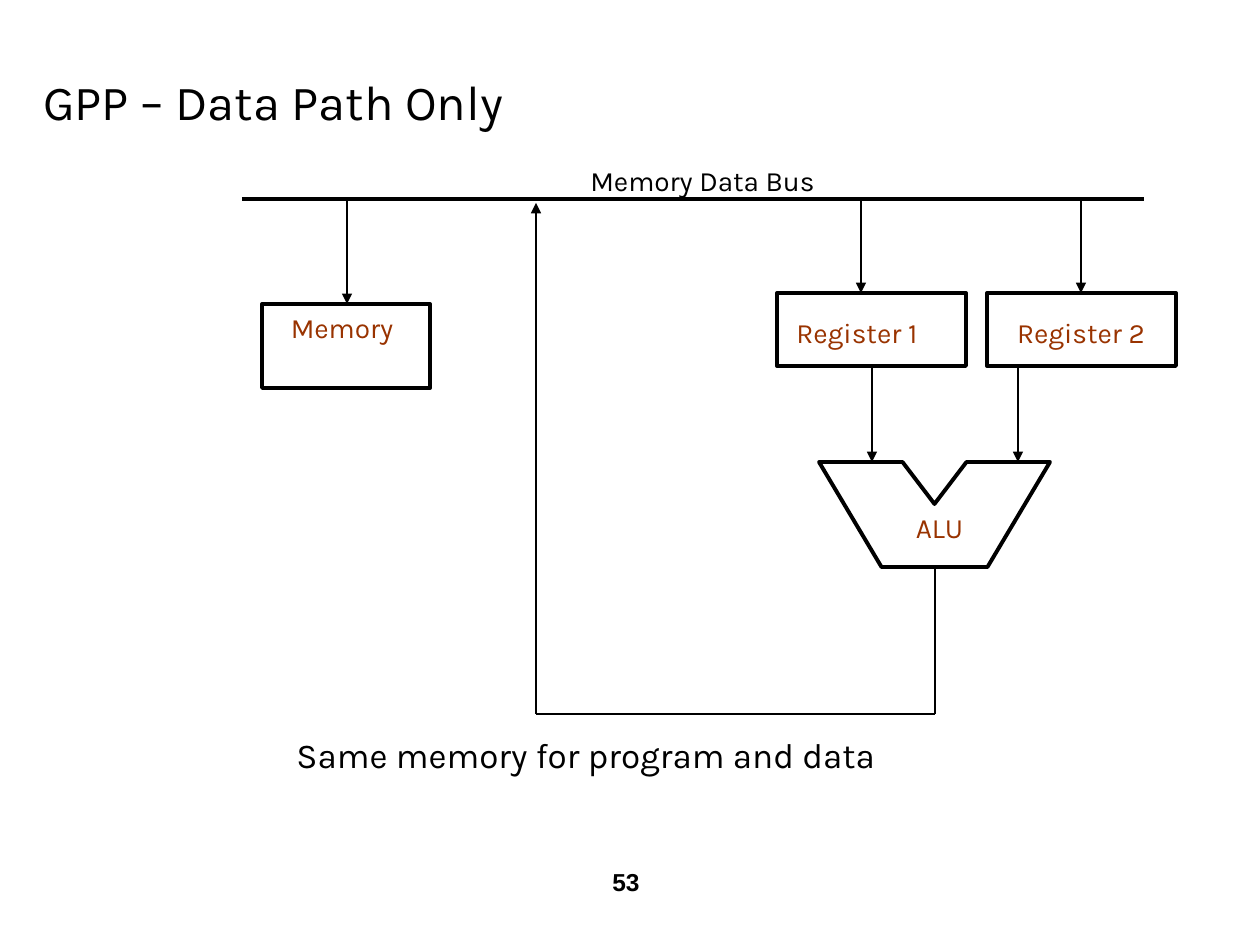
from lxml import etree
from pptx import Presentation
from pptx import util as u
from pptx.dml.color import RGBColor
from pptx.enum import shapes, text
from pptx.oxml import ns

PX = 914400 / 126
BLACK = RGBColor(0x00, 0x00, 0x00)
RUST = RGBColor(0x99, 0x33, 0x00)
WHITE = RGBColor(0xFF, 0xFF, 0xFF)
THICK, THIN = 2.25, 0.75
LEFT, CENTER = text.PP_ALIGN.LEFT, text.PP_ALIGN.CENTER
TOP, MIDDLE = text.MSO_ANCHOR.TOP, text.MSO_ANCHOR.MIDDLE


def px(length):
    return u.Emu(round(length * PX))


def add_text(slide, box, words, size, color=BLACK, align=LEFT, anchor=TOP,
             font="Karla", bold=False, wrap=True):
    shape = slide.shapes.add_textbox(*map(px, box))
    frame = shape.text_frame
    frame.word_wrap = wrap
    frame.vertical_anchor = anchor
    paragraph = frame.paragraphs[0]
    paragraph.alignment = align
    run = paragraph.add_run()
    run.text = words
    run.font.name = font
    run.font.size = u.Pt(size)
    run.font.bold = bold
    run.font.color.rgb = color


def add_line(slide, start, end, width=THIN, arrow=False):
    line = slide.shapes.add_connector(
        shapes.MSO_CONNECTOR.STRAIGHT, *map(px, start + end))
    line.line.color.rgb = BLACK
    line.line.width = u.Pt(width)
    if arrow:
        etree.SubElement(line.line._get_or_add_ln(), ns.qn("a:tailEnd"), type="triangle")
    etree.SubElement(line._element.spPr, ns.qn("a:effectLst"))


def outline(shape):
    shape.shadow.inherit = False
    shape.fill.background()
    shape.line.color.rgb = BLACK
    shape.line.width = u.Pt(THICK)


def add_block(slide, box, label, label_box, align=CENTER, wrap=True):
    """A storage block; label_box is relative to the block's corner."""
    left, top, width, height = box
    outline(slide.shapes.add_shape(shapes.MSO_SHAPE.RECTANGLE, *map(px, box)))
    dx, dy, label_width, label_height = label_box
    add_text(slide, (left + dx, top + dy, label_width, label_height),
             label, 16, RUST, align, wrap=wrap)


def add_alu(slide, box):
    """A notched trapezoid with its label under the notch."""
    left, top, width, height = box
    middle, notch, foot = width / 2, 32, 53
    points = [(0, 0), (middle - notch, 0), (middle, 42), (middle + notch, 0),
              (width, 0), (middle + foot, height), (middle - foot, height)]
    corners = [(px(left + x), px(top + y)) for x, y in points]
    builder = slide.shapes.build_freeform(*corners[0])
    builder.add_line_segments(corners[1:], close=True)
    outline(builder.convert_to_shape())
    add_text(slide, (left + middle - 53, top + 42, 116, 47), "ALU", 16, RUST, CENTER)


def add_data_path(slide, box):
    left, top, width, height = box
    bus_y = top + 42
    register_y, register_height = top + 136, 73
    register_bottom = register_y + register_height
    alu_y, alu_height = top + 305, 105
    alu_x = left + 693
    loop_x, bottom = left + 294, top + height

    # Memory data bus
    add_text(slide, (left + 336, top, 252, 81), "Memory Data Bus", 16)
    add_line(slide, (left, bus_y), (left + width, bus_y), THICK)

    # Memory, registers and ALU
    add_block(slide, (left + 20, top + 147, 168, 84), "Memory", (-10, 0, 180, 47))
    for x, label, dx, align in ((535, "Register 1", 7, LEFT),
                                (745, "Register 2", 16, CENTER)):
        add_block(slide, (left + x, register_y, 189, register_height),
                  label, (dx, 16, 156, 47), align, wrap=False)
    add_alu(slide, (left + 577, alu_y, 231, alu_height))

    # Arrows down from the bus, then from the registers to the ALU
    for x, start, end in ((105, bus_y, top + 147),
                          (619, bus_y, register_y),
                          (839, bus_y, register_y),
                          (630, register_bottom, alu_y),
                          (776, register_bottom, alu_y)):
        add_line(slide, (left + x, start), (left + x, end), arrow=True)

    # Result loop back to the bus
    add_line(slide, (alu_x, alu_y + alu_height), (alu_x, bottom))
    add_line(slide, (alu_x, bottom), (loop_x, bottom))
    add_line(slide, (loop_x, bottom), (loop_x, bus_y + 4), arrow=True)


def main():
    presentation = Presentation()
    presentation.slide_width, presentation.slide_height = px(1260), px(945)
    slide = presentation.slides.add_slide(presentation.slide_layouts[6])
    slide.background.fill.solid()
    slide.background.fill.fore_color.rgb = WHITE

    # Title, diagram, remark and page number
    add_text(slide, (31, 0, 1074, 202), "GPP – Data Path Only", 28, anchor=MIDDLE)
    add_data_path(slide, (242, 157, 902, 557))
    add_text(slide, (284, 727, 630, 73), "Same memory for program and data", 20)
    add_text(slide, (395, 861, 462, 42), "53", 14, align=CENTER, font="Arial", bold=True)

    presentation.save("out.pptx")


if __name__ == "__main__":
    main()
